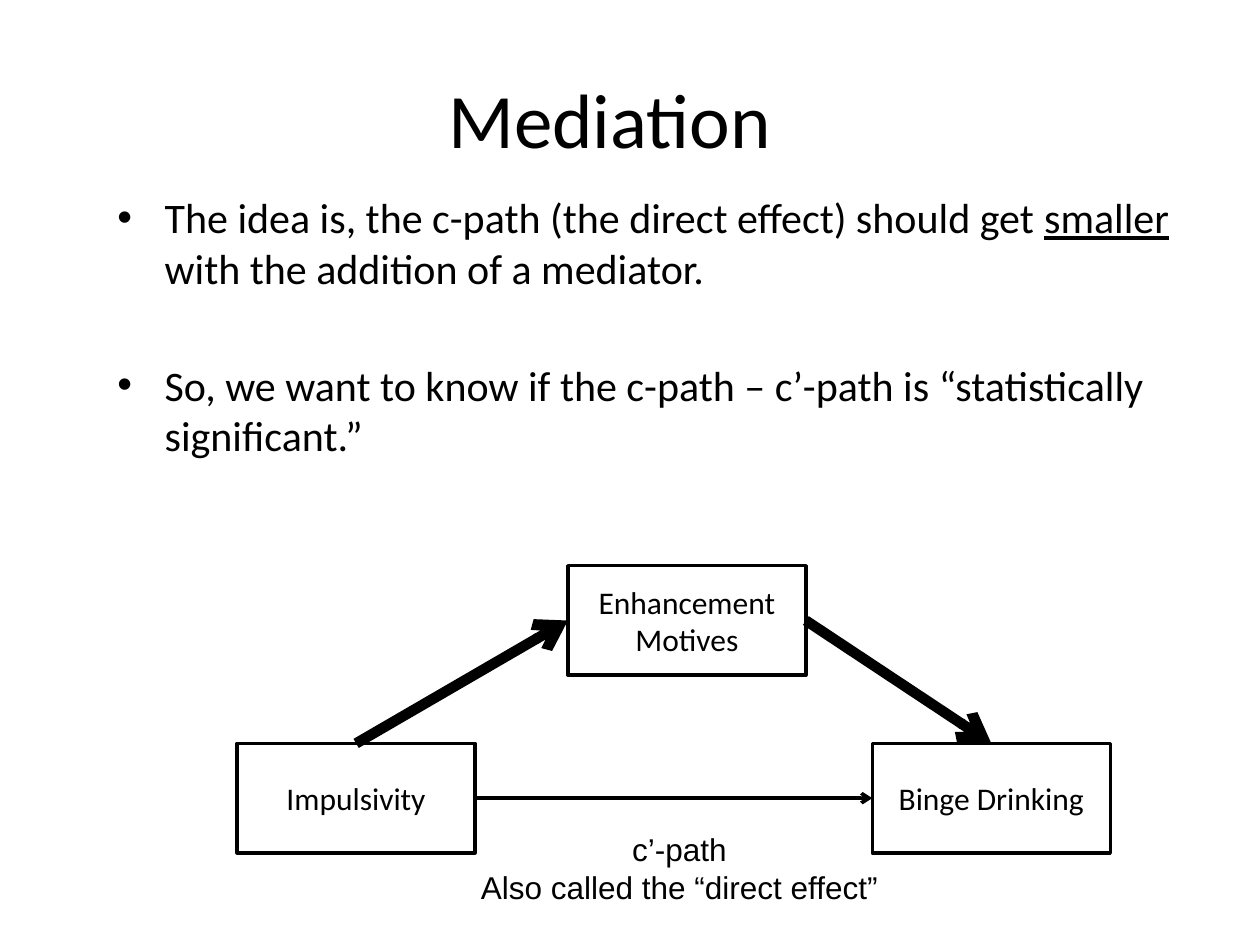
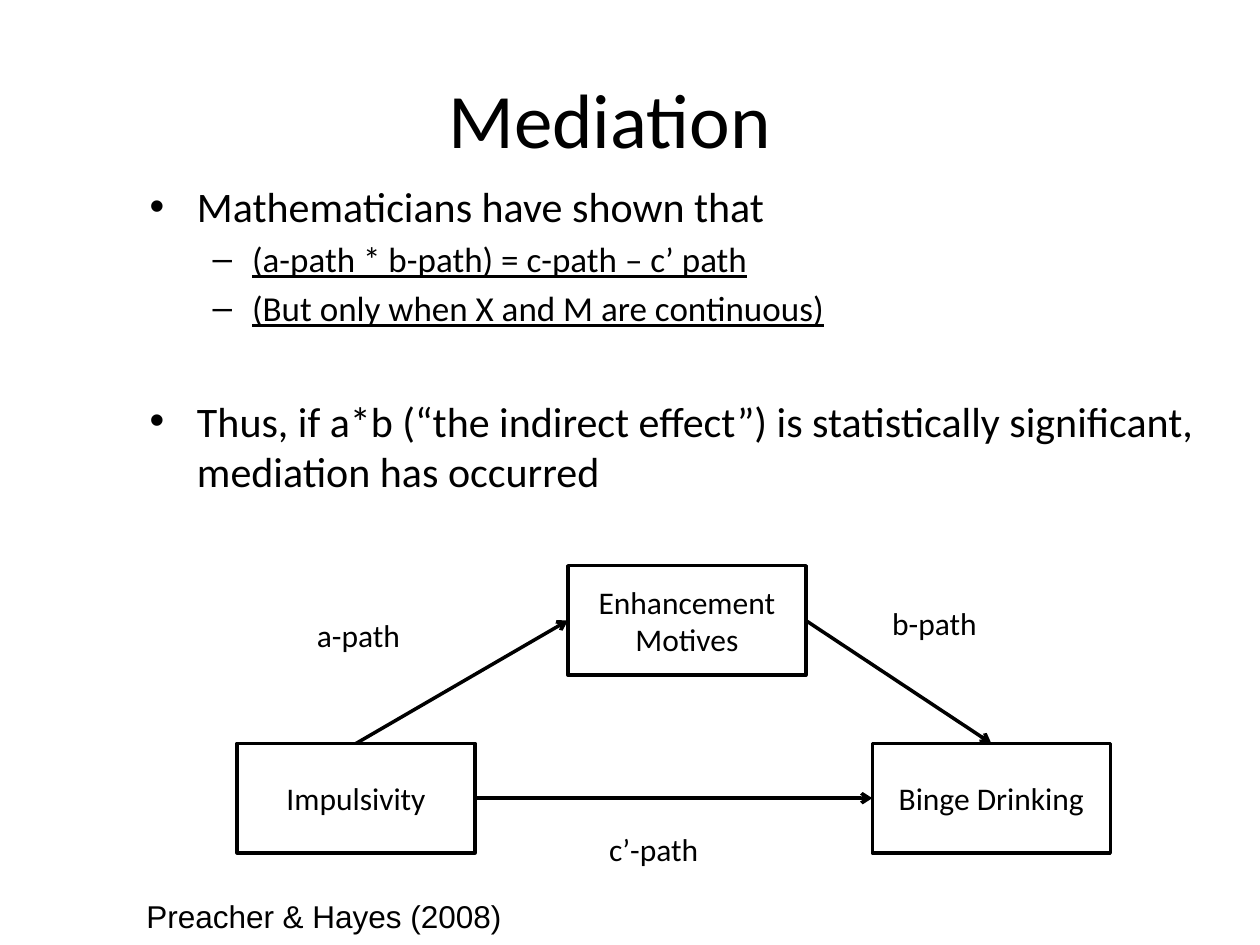
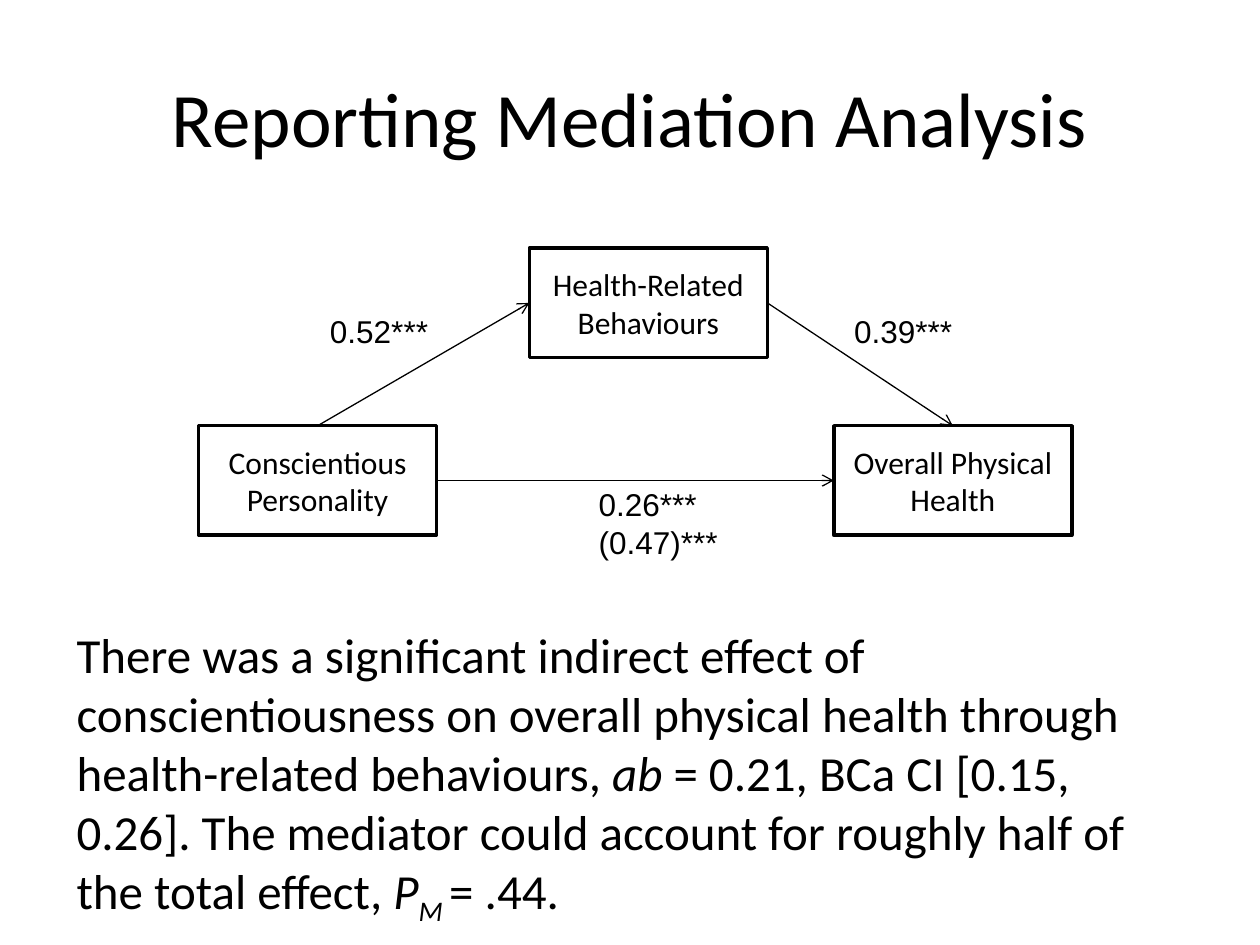
from lxml import etree
from pptx import Presentation
from pptx.dml.color import RGBColor
from pptx.enum.shapes import MSO_CONNECTOR, MSO_SHAPE
from pptx.enum.text import MSO_ANCHOR, PP_ALIGN
from pptx.oxml.ns import qn
from pptx.util import Pt

STRAIGHT = MSO_CONNECTOR.STRAIGHT
RECTANGLE = MSO_SHAPE.RECTANGLE
TOP, MIDDLE = MSO_ANCHOR.TOP, MSO_ANCHOR.MIDDLE
LEFT, CENTER = PP_ALIGN.LEFT, PP_ALIGN.CENTER

INK, PAPER = "000000", "FFFFFF"
HEADING_FONT, LABEL_FONT = "Calibri", "Arial"
BOX_WIDTH, BOX_HEIGHT = 136, 62.6
MEDIATOR_SHIFT, OUTCOME_SHIFT, LOWER_ROW = 189, 363, 101.5
SIDE_TOP, SIDE_LEFT, SIDE_RIGHT = 0, 1, 3
TITLE_PLACE = (24.5, 25, 648, 84)
BULLETS = {
    0: {"char": "•", "margin": 27, "hang": 27, "size": 24},
    1: {"char": "–", "margin": 58.5, "hang": 22.5, "size": 20},
}
SECTION_GAP = 38


def color(hex_code):
    """Turn a hex string into a colour."""
    return RGBColor.from_string(hex_code)


def style_paragraph(para, size, face=HEADING_FONT, align=LEFT):
    """Set the alignment and font that a whole paragraph shares."""
    para.alignment = align
    para.font.size = Pt(size)
    para.font.name = face
    para.font.color.rgb = color(INK)


def add_span(para, text, underline=None, italic=None, baseline=None):
    """Add a run, with only the emphasis it needs."""
    span = para.add_run()
    span.text = text
    span.font.underline = underline
    span.font.italic = italic
    if baseline:
        span._r.get_or_add_rPr().set("baseline", str(baseline))


def add_frame(page, place, anchor=TOP):
    """Add a wrapping text box and return its text frame."""
    frame = page.shapes.add_textbox(*map(Pt, place)).text_frame
    frame.word_wrap = True
    frame.vertical_anchor = anchor
    return frame


def add_text(page, place, lines, size=18, face=HEADING_FONT, align=LEFT, anchor=TOP):
    """Add a text box with one plain paragraph per line."""
    frame = add_frame(page, place, anchor)
    for index, line in enumerate(lines):
        para = frame.add_paragraph() if index else frame.paragraphs[0]
        add_span(para, line)
        style_paragraph(para, size, face, align)


def add_title(page, text, place=TITLE_PLACE):
    """Add the centred slide title."""
    add_text(page, place, [text], size=44, align=CENTER, anchor=MIDDLE)


def add_bullets(page, place, items):
    """Add bullets given as (level, space before, spans)."""
    frame = add_frame(page, place)
    for index, (level, gap, spans) in enumerate(items):
        bullet = BULLETS[level]
        para = frame.add_paragraph() if index else frame.paragraphs[0]
        para.level = level
        para.space_before = Pt(gap)
        properties = para._p.get_or_add_pPr()
        properties.set("marL", str(Pt(bullet["margin"])))
        properties.set("indent", str(-Pt(bullet["hang"])))
        etree.SubElement(properties, qn("a:buFont")).set("typeface", LABEL_FONT)
        etree.SubElement(properties, qn("a:buChar")).set("char", bullet["char"])
        for text, emphasis in spans:
            add_span(para, text, **emphasis)
        style_paragraph(para, bullet["size"])


def add_box(page, left, top, text):
    """Add an outlined variable box."""
    box = page.shapes.add_shape(RECTANGLE, Pt(left), Pt(top), Pt(BOX_WIDTH), Pt(BOX_HEIGHT))
    box.shadow.inherit = False
    box.fill.solid()
    box.fill.fore_color.rgb = color(PAPER)
    box.line.color.rgb = color(INK)
    box.line.width = Pt(2)
    frame = box.text_frame
    frame.word_wrap = True
    frame.vertical_anchor = MIDDLE
    para = frame.paragraphs[0]
    add_span(para, text)
    style_paragraph(para, 18, align=CENTER)
    return box


def add_arrow(page, start, start_side, end, end_side, width):
    """Join two boxes with an arrow."""
    arrow = page.shapes.add_connector(STRAIGHT, 0, 0, 0, 0)
    arrow.begin_connect(start, start_side)
    arrow.end_connect(end, end_side)
    arrow.line.color.rgb = color(INK)
    arrow.line.width = Pt(width)
    etree.SubElement(arrow.line._get_or_add_ln(), qn("a:tailEnd")).set("type", "arrow")
    etree.SubElement(arrow._element.spPr, qn("a:effectLst"))


def add_mediation_diagram(page, left, top, names, direct_width, indirect_width):
    """Draw predictor, mediator and outcome with their three paths."""
    predictor_name, mediator_name, outcome_name = names
    predictor = add_box(page, left, top + LOWER_ROW, predictor_name)
    outcome = add_box(page, left + OUTCOME_SHIFT, top + LOWER_ROW, outcome_name)
    mediator = add_box(page, left + MEDIATOR_SHIFT, top, mediator_name)
    add_arrow(page, predictor, SIDE_RIGHT, outcome, SIDE_LEFT, direct_width)
    add_arrow(page, predictor, SIDE_TOP, mediator, SIDE_LEFT, indirect_width)
    add_arrow(page, mediator, SIDE_RIGHT, outcome, SIDE_TOP, indirect_width)


def add_drinking_diagram(page, indirect_width):
    """Draw the binge drinking example."""
    names = ("Impulsivity", "Enhancement Motives", "Binge Drinking")
    add_mediation_diagram(page, 135.5, 323.3, names, 2, indirect_width)


def build_direct_effect(page):
    """Fill the slide on the shrinking direct effect."""
    add_title(page, "Mediation")
    add_bullets(page, (60, 106, 628.5, 198), [
        (0, 0, [
            ("The idea is, the c-path (the direct effect) should get ", {}),
            ("smaller", {"underline": True}),
            (" with the addition of a mediator.", {}),
        ]),
        (0, SECTION_GAP, [
            ("So, we want to know if the c-path – c’-path is “statistically significant.”", {}),
        ]),
    ])
    add_drinking_diagram(page, 6)
    add_text(page, (233.5, 471, 309.5, 51), ["c’-path", "Also called the “direct effect”"],
             face=LABEL_FONT, align=CENTER)


def build_indirect_effect(page):
    """Fill the slide on the indirect effect."""
    add_title(page, "Mediation")
    underlined = {"underline": True}
    add_bullets(page, (78.5, 99.5, 628.5, 198), [
        (0, 0, [("Mathematicians have shown that", {})]),
        (1, 4, [("(a-path * b-path) = c-path – c’ path", underlined)]),
        (1, 4, [("(But only when X and M are continuous)", underlined)]),
        (0, SECTION_GAP, [
            ("Thus, if a*b (“the indirect effect”) is statistically significant, "
             "mediation has occurred", {}),
        ]),
    ])
    add_drinking_diagram(page, 2)
    add_text(page, (307.5, 471, 132, 29), ["c’-path"], align=CENTER)
    add_text(page, (174, 348.5, 89, 29), ["a-path"])
    add_text(page, (489.5, 341.5, 89, 29), ["b-path"], align=CENTER)
    add_text(page, (76.5, 509, 231, 29), ["Preacher & Hayes (2008)"], face=LABEL_FONT)


def build_report(page):
    """Fill the slide on reporting the analysis."""
    add_title(page, "Reporting Mediation Analysis", (36, 21.5, 648, 90))
    para = add_frame(page, (36.7, 353.5, 648, 182)).paragraphs[0]
    add_span(para, "There was a significant indirect effect of conscientiousness on overall "
                   "physical health through health-related behaviours, ")
    add_span(para, "ab ", italic=True)
    add_span(para, "= 0.21, BCa CI [0.15, 0.26]. The mediator could account for roughly "
                   "half of the total effect, ")
    add_span(para, "P", italic=True)
    add_span(para, "M ", italic=True, baseline=-25000)
    add_span(para, "= .44.")
    style_paragraph(para, 28)
    names = ("Conscientious Personality", "Health-Related Behaviours", "Overall Physical Health")
    add_mediation_diagram(page, 113.5, 141.8, names, 0.75, 0.75)
    for left, top, width, height, lines in (
        (181.5, 175, 75, 29, ["0.52***"]),
        (481, 175, 75, 29, ["0.39***"]),
        (335, 273.6, 88, 51, ["0.26***", "(0.47)***"]),
    ):
        add_text(page, (left, top, width, height), lines, face=LABEL_FONT)


def main():
    """Build and save the deck."""
    deck = Presentation()
    deck.slide_width, deck.slide_height = Pt(720), Pt(540)
    for build in (build_direct_effect, build_indirect_effect, build_report):
        build(deck.slides.add_slide(deck.slide_layouts[6]))
    deck.save("out.pptx")


if __name__ == "__main__":
    main()
